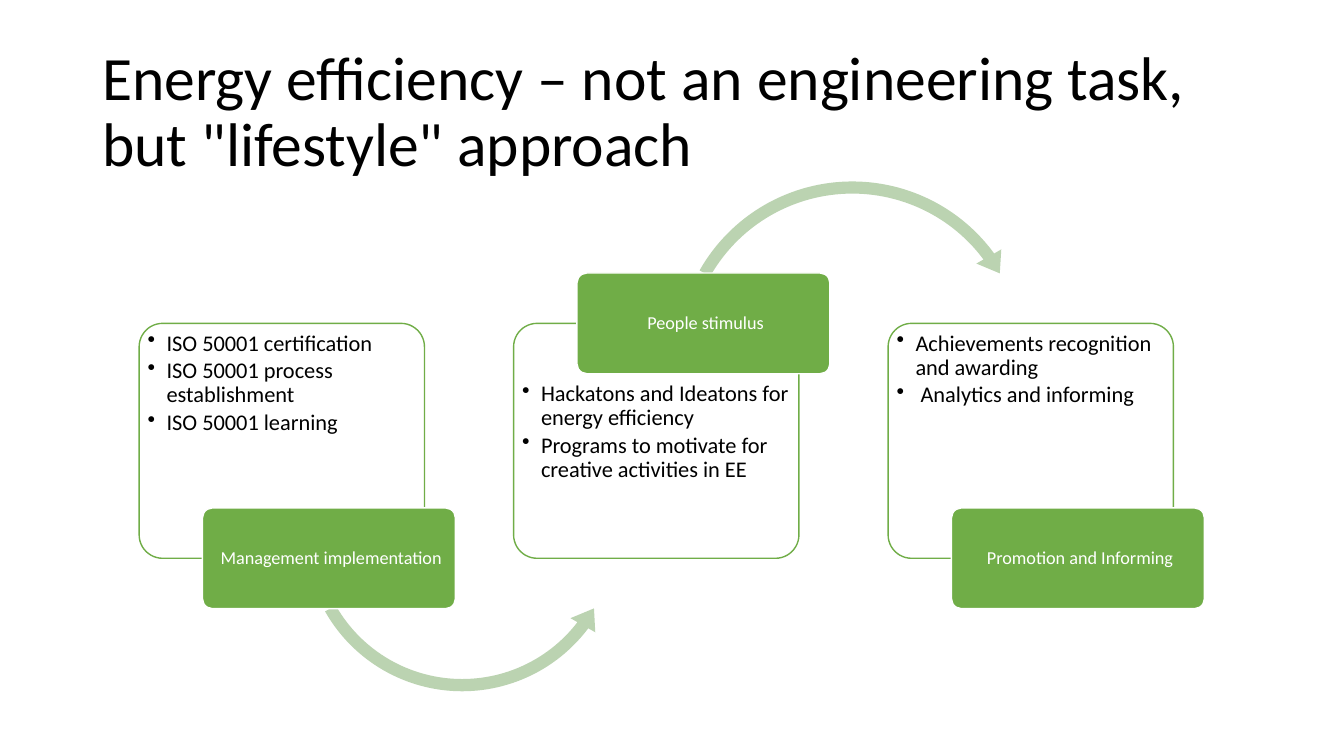
from lxml.etree import SubElement
from pptx import Presentation
from pptx.dml.color import RGBColor
from pptx.enum.shapes import MSO_SHAPE
from pptx.enum.text import MSO_ANCHOR, PP_ALIGN
from pptx.oxml.ns import qn
from pptx.util import Pt

GREEN, PALE_GREEN, WHITE, BLACK = "70AD47", "BBD3B1", "FFFFFF", "000000"
PANEL_WIDTH, PANEL_HEIGHT, PANEL_STEP = 203.8, 167.8, 267.5
LABEL_WIDTH, LABEL_HEIGHT, LABEL_OFFSET = 180.7, 72, 45.2
BULLET_INDENT = 13.5

LOWER_ARROW = (MSO_SHAPE.LEFT_CIRCULAR_ARROW, 112.3, 31.7, 236.9,
               (0.037, 4.574, 22.329, 90.245, 0.043))
UPPER_ARROW = (MSO_SHAPE.CIRCULAR_ARROW, 110.5, -107.3, 262.8,
               (0.033, 4.086, 194.159, 125.755, 0.039))
STEPS = [
    ("\u00a0Management\u00a0implementation",
     ["ISO\u00a050001 certification", "ISO 50001 process establishment",
      "ISO 50001 learning"], False, LOWER_ARROW),
    ("\u00a0People\u00a0stimulus",
     ["Hackatons and Ideatons for energy efficiency",
      "Programs\u00a0to motivate for creative\u00a0activities in EE\u00a0"],
     True, UPPER_ARROW),
    ("\u00a0Promotion and\u00a0Informing",
     ["Achievements\u00a0recognition and awarding",
      "\u00a0Analytics and informing\u00a0"], False, None),
]


def color(value):
    return RGBColor.from_string(value)


def add_filled_shape(slide, kind, box, fill, line=None, adjustments=(0.1,)):
    shape = slide.shapes.add_shape(kind, *map(Pt, box))
    shape.shadow.inherit = False
    shape.fill.solid()
    shape.fill.fore_color.rgb = color(fill)
    if line:
        shape.line.color.rgb = color(line)
        shape.line.width = Pt(1)
    else:
        shape.line.fill.background()
    for index, value in enumerate(adjustments):
        shape.adjustments[index] = value
    return shape


def write_text(shape, lines, size, text_color, anchor, alignment, margins, space_after=0):
    frame = shape.text_frame
    frame.word_wrap = True
    frame.vertical_anchor = anchor
    (frame.margin_left, frame.margin_top,
     frame.margin_right, frame.margin_bottom) = map(Pt, margins)
    frame.text = "\n".join(lines)
    for paragraph in frame.paragraphs:
        paragraph.alignment = alignment
        paragraph.line_spacing = 0.9
        paragraph.space_after = Pt(space_after)
        paragraph.font.name = "Calibri"
        paragraph.font.size = Pt(size)
        paragraph.font.color.rgb = color(text_color)
    return frame


def add_bullets(frame):
    for paragraph in frame.paragraphs:
        properties = paragraph._p.get_or_add_pPr()
        properties.set("marL", str(Pt(BULLET_INDENT)))
        properties.set("indent", str(-Pt(BULLET_INDENT)))
        bullet = SubElement(properties, qn("a:buChar"))
        bullet.set("char", "•")
        properties.find(qn("a:defRPr")).addprevious(bullet)


def add_title(slide, box, text):
    title = slide.shapes.add_textbox(*map(Pt, box))
    write_text(title, [text], 44, BLACK, MSO_ANCHOR.MIDDLE, PP_ALIGN.LEFT,
               (7.2, 3.6, 7.2, 3.6))


def add_step(slide, box, label_text, bullets, label_on_top, arrow):
    left, top, width, height = box
    panel = add_filled_shape(slide, MSO_SHAPE.ROUNDED_RECTANGLE, box, WHITE, GREEN)
    top_margin = 37.2 if label_on_top else 1.2
    frame = write_text(panel, bullets, 16, BLACK, MSO_ANCHOR.TOP, PP_ALIGN.LEFT,
                       (1.2, top_margin, 1.2, 1.2), 2.4)
    add_bullets(frame)
    if arrow:
        kind, offset_x, offset_y, size, adjustments = arrow
        add_filled_shape(slide, kind, (left + offset_x, top + offset_y, size, size),
                         PALE_GREEN, adjustments=adjustments)
    label_middle = top if label_on_top else top + height
    label_box = (left + LABEL_OFFSET, label_middle - LABEL_HEIGHT / 2,
                 LABEL_WIDTH, LABEL_HEIGHT)
    label = add_filled_shape(slide, MSO_SHAPE.ROUNDED_RECTANGLE, label_box, GREEN, WHITE)
    write_text(label, [label_text], 13, WHITE, MSO_ANCHOR.MIDDLE, PP_ALIGN.CENTER,
               (2.2, 1.5, 2.2, 1.5))


def add_process(slide, left, top):
    for index, step in enumerate(STEPS):
        box = (left + index * PANEL_STEP, top, PANEL_WIDTH, PANEL_HEIGHT)
        add_step(slide, box, *step)


presentation = Presentation()
presentation.slide_width, presentation.slide_height = Pt(960), Pt(540)
slide = presentation.slides.add_slide(presentation.slide_layouts[6])
add_title(slide, (66, 28.8, 828, 104.4),
          'Energy efficiency – not an engineering task, but\u00a0"lifestyle" approach')
add_process(slide, 99.4, 231)
presentation.save("out.pptx")
